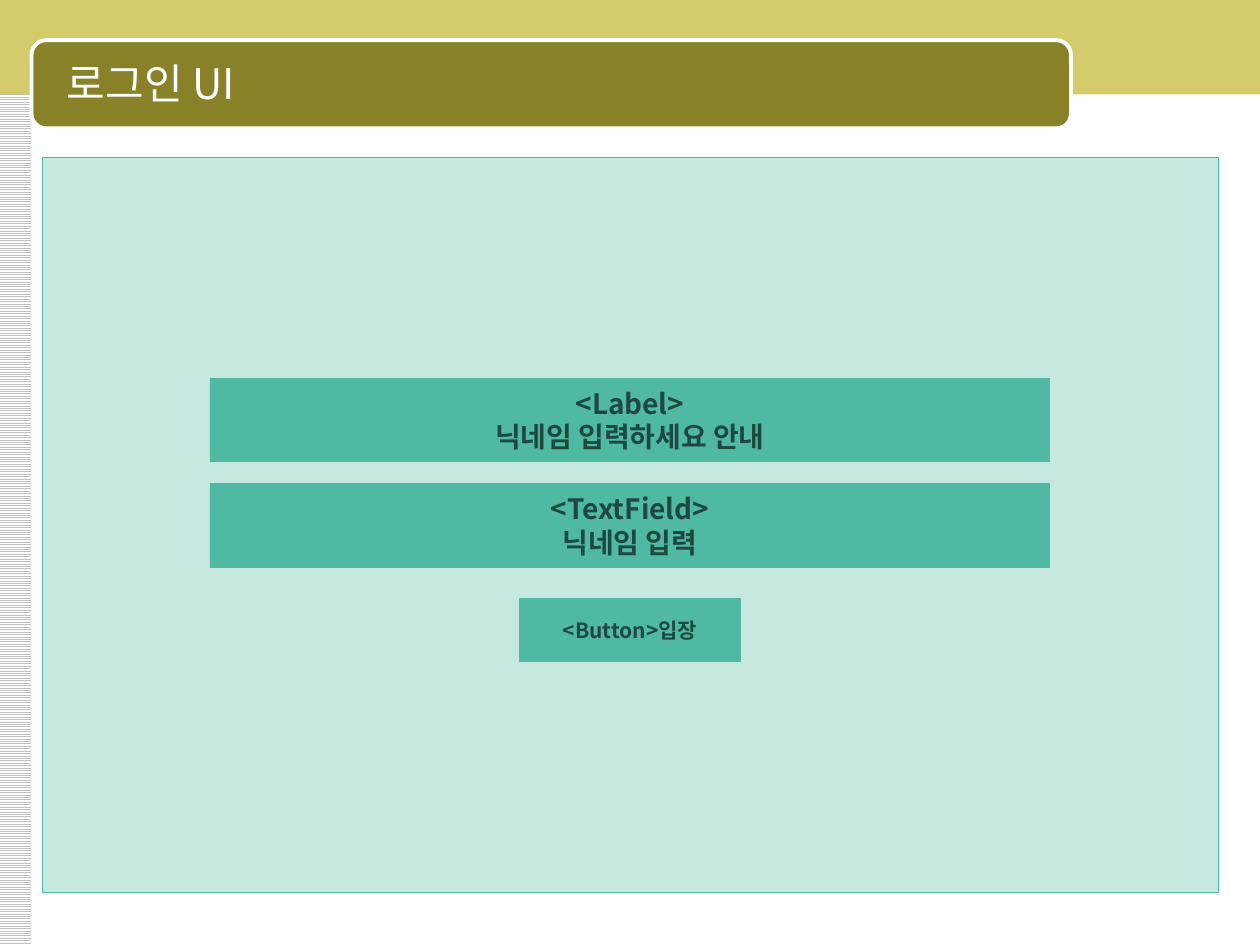
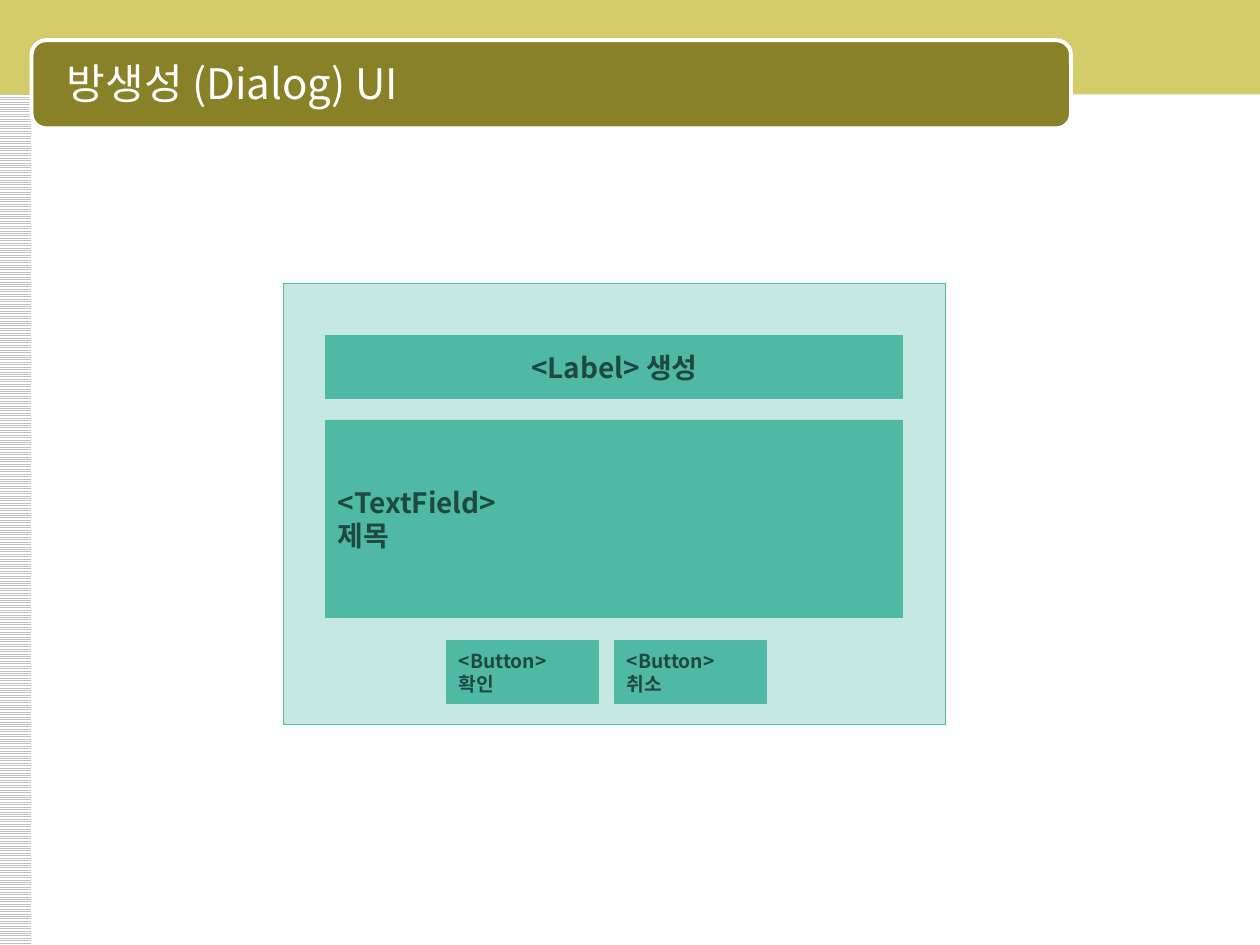
import pptx
import pptx.util
import pptx.dml.color
import pptx.enum.dml
import pptx.enum.shapes
import pptx.enum.text
import pptx.oxml.ns
import pptx.oxml.xmlchemy
from dataclasses import dataclass

Pt = pptx.util.Pt
RGB = pptx.dml.color.RGBColor.from_string
Shape = pptx.enum.shapes.MSO_SHAPE
Align = pptx.enum.text.PP_ALIGN


@dataclass(frozen=True)
class Theme:
    font: str = "Noto Sans CJK KR"
    white: str = "FFFFFF"
    stripe: str = "C0C0C0"
    band: str = "D4CC6A"
    plate: str = "888128"
    panel: str = "C5E8E1"
    widget: str = "50B9A4"
    ink: str = "1D4940"
    title_size: float = 24
    label_size: float = 16
    button_size: float = 12
    small_size: float = 11
    hairline: float = 0.5
    plate_line: float = 2.25


THEME = Theme()


def write(frame, text, *, size, color, bold=False, align=Align.CENTER, wrap=False):
    """Write one paragraph per line of text, centred vertically."""
    frame.text = text
    frame.word_wrap = wrap
    frame.auto_size = pptx.enum.text.MSO_AUTO_SIZE.NONE
    frame.vertical_anchor = pptx.enum.text.MSO_ANCHOR.MIDDLE
    for paragraph in frame.paragraphs:
        paragraph.alignment = align
        for run in paragraph.runs:
            run.font.size = Pt(size)
            run.font.bold = bold
            run.font.color.rgb = RGB(color)
            run.font.name = THEME.font
            # Hangul takes its typeface from a:ea, which follows a:latin
            east_asian = pptx.oxml.xmlchemy.OxmlElement("a:ea")
            east_asian.set("typeface", THEME.font)
            latin = run._r.get_or_add_rPr().find(pptx.oxml.ns.qn("a:latin"))
            latin.addnext(east_asian)


def box(slide, left, top, width, height, *, fill, line=None,
        line_width=THEME.hairline, preset=Shape.RECTANGLE):
    shape = slide.shapes.add_shape(preset, Pt(left), Pt(top), Pt(width), Pt(height))
    shape.shadow.inherit = False
    shape.fill.solid()
    shape.fill.fore_color.rgb = RGB(fill)
    if line:
        shape.line.color.rgb = RGB(line)
        shape.line.width = Pt(line_width)
    else:
        shape.line.fill.background()
    return shape


def panel(slide, *place):
    box(slide, *place, fill=THEME.panel, line=THEME.widget)


def widget(slide, text, *place, size=THEME.label_size, align=Align.CENTER):
    shape = box(slide, *place, fill=THEME.widget, line=THEME.widget)
    write(shape.text_frame, text, size=size, color=THEME.ink, bold=True, align=align)


def decorate_layout(layout, slide):
    """Draw the shared rail, band and title plate, then move them to the layout."""
    rail = box(slide, -0.75, 0, 18.75, 540, fill=THEME.white)
    rail.fill.patterned()
    rail.fill.pattern = pptx.enum.dml.MSO_PATTERN.LIGHT_HORIZONTAL
    rail.fill.fore_color.rgb = RGB(THEME.stripe)
    rail.fill.back_color.rgb = RGB(THEME.white)
    band = box(slide, -0.75, 0, 721.5, 54, fill=THEME.band)
    plate = box(slide, 18, 23, 594, 50.4, fill=THEME.plate, line=THEME.white,
                line_width=THEME.plate_line, preset=Shape.ROUNDED_RECTANGLE)
    for number, part in enumerate((rail, band, plate), start=101):
        part.element.nvSpPr.cNvPr.set("id", str(number))
        layout.shapes.element.append(part.element)


def set_title(slide, text):
    title = slide.shapes.title
    title.left, title.top, title.width, title.height = map(Pt, (24, 25, 582, 45))
    write(title.text_frame, text, size=THEME.title_size, color=THEME.white,
          align=Align.LEFT, wrap=True)
    properties = title.text_frame.paragraphs[0]._p.get_or_add_pPr()
    properties.set("marL", str(Pt(35)))
    properties.set("indent", str(Pt(-28)))


def login_slide(slide):
    set_title(slide, "로그인 UI")
    panel(slide, 24, 90, 672, 420)
    widget(slide, "<Button>입장", 297, 342, 126, 36, size=THEME.button_size)
    fields = ("<Label>\n닉네임 입력하세요 안내", "<TextField>\n닉네임 입력")
    for row, text in enumerate(fields):
        widget(slide, text, 120, 216 + 60 * row, 480, 48)


def room_dialog_slide(slide):
    set_title(slide, "방생성 (Dialog) UI")
    panel(slide, 162, 162, 378, 252)
    widget(slide, "<Label> 생성", 186, 192, 330, 36)
    widget(slide, "<TextField>\n제목", 186, 240, 330, 113, align=Align.LEFT)
    for column, action in enumerate(("확인", "취소")):
        widget(slide, f"<Button>\n{action}", 255 + 96 * column, 366, 87, 36,
               size=THEME.small_size, align=Align.LEFT)


def main():
    deck = pptx.Presentation()
    deck.slide_width, deck.slide_height = Pt(720), Pt(540)
    title_only = deck.slide_layouts[5]
    login = deck.slides.add_slide(title_only)
    decorate_layout(title_only, login)
    login_slide(login)
    room_dialog_slide(deck.slides.add_slide(title_only))
    deck.save("out.pptx")


main()
